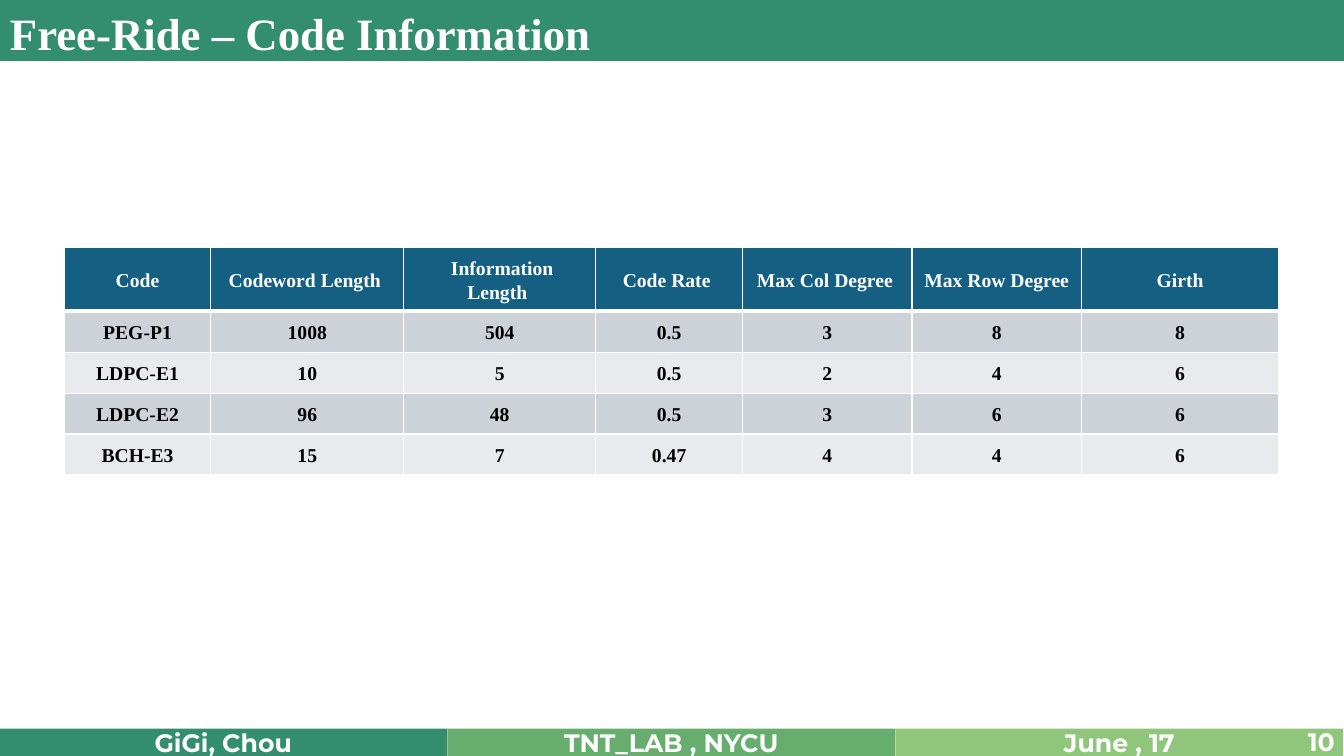
from lxml.etree import SubElement
from pptx import Presentation
from pptx.dml.color import RGBColor
from pptx.enum.shapes import MSO_SHAPE as Preset
from pptx.enum.text import MSO_ANCHOR as Anchor, PP_ALIGN as Align
from pptx.oxml.ns import qn
from pptx.util import Pt

COLORS = {
    "white": "FFFFFF", "black": "000000",
    "dark_green": "328E6E", "mid_green": "67AE6E", "light_green": "90C67C",
    "header": "156082", "band_dark": "CCD2D8", "band_light": "E8EAED",
}
FOOTER_FONT, BODY_FONT = "Montserrat", "Times New Roman"


def write(frame, text, font_name, size, color="white", align=Align.CENTER):
    frame.word_wrap = True
    frame.vertical_anchor = Anchor.MIDDLE
    paragraph = frame.paragraphs[0]
    paragraph.text = text
    paragraph.alignment = align
    font_format = {"name": font_name, "size": Pt(size), "bold": True}
    font = paragraph.runs[0].font
    for attribute, value in font_format.items():
        setattr(font, attribute, value)
    font.color.rgb = RGBColor.from_string(COLORS[color])
    return paragraph


def add_bar(left, top, width, height, color):
    bar = slide.shapes.add_shape(Preset.RECTANGLE, Pt(left), Pt(top), Pt(width), Pt(height))
    bar.shadow.inherit = False
    bar.fill.solid()
    bar.fill.fore_color.rgb = RGBColor.from_string(COLORS[color])
    bar.line.fill.background()
    return bar


presentation = Presentation()
presentation.slide_width, presentation.slide_height = Pt(960), Pt(540)
slide = presentation.slides.add_slide(presentation.slide_layouts[6])

# Footer and title bar
footer = [
    ("GiGi, Chou", "dark_green"),
    ("TNT_LAB , NYCU", "mid_green"),
    ("June , 17", "light_green"),
]
for index, (text, color) in enumerate(footer):
    bar = add_bar(320 * index - 0.5, 520.5, 320, 19.5, color)
    write(bar.text_frame, text, FOOTER_FONT, 18)
add_bar(0, 0, 960, 43.5, "dark_green")

page_number = slide.shapes.add_textbox(Pt(744.5), Pt(520.5), Pt(216), Pt(17.5))
write(page_number.text_frame, "10", FOOTER_FONT, 18, align=Align.RIGHT)
title = slide.shapes.add_textbox(Pt(0), Pt(0), Pt(838), Pt(46))
write(title.text_frame, "Free-Ride – Code Information", BODY_FONT, 32, align=Align.LEFT)

# Code table
rows = [
    ["Code", "Codeword Length ", " Information Length ", "Code Rate ",
     "Max Col Degree ", "Max Row Degree ", "Girth"],
    ["PEG-P1", "1008", "504", "0.5", "3", "8", "8"],
    ["LDPC-E1", "10", "5", "0.5", "2", "4", "6"],
    ["LDPC-E2", "96", "48", "0.5", "3", "6", "6"],
    ["BCH-E3", "15", "7", "0.47", "4", "4", "6"],
]
column_widths = [104.5, 138, 137, 105, 121, 121, 141]
row_height = 29.25
table = slide.shapes.add_table(
    len(rows), len(column_widths), Pt(46), Pt(176.5),
    Pt(sum(column_widths)), Pt(row_height * len(rows))).table
for column, width in zip(table.columns, column_widths):
    column.width = Pt(width)

for row_index, values in enumerate(rows):
    table.rows[row_index].height = Pt(row_height)
    is_header = row_index == 0
    band = "band_dark" if row_index % 2 else "band_light"
    borders = {
        "a:lnL": 1, "a:lnR": 1,
        "a:lnT": 3 if row_index == 1 else 1,
        "a:lnB": 3 if is_header else 1,
    }
    for column_index, text in enumerate(values):
        cell = table.cell(row_index, column_index)
        paragraph = write(cell.text_frame, text, BODY_FONT, 14, "white" if is_header else "black")
        paragraph.line_spacing = 1.15
        paragraph.space_after = Pt(8 if row_index < 2 else 0)
        cell.vertical_anchor = Anchor.MIDDLE
        properties = cell._tc.get_or_add_tcPr()
        for tag, line_width in borders.items():
            line = SubElement(properties, qn(tag), w=str(Pt(line_width)))
            line_fill = SubElement(line, qn("a:solidFill"))
            SubElement(line_fill, qn("a:srgbClr"), val=COLORS["white"])
        cell.fill.solid()
        cell.fill.fore_color.rgb = RGBColor.from_string(COLORS["header" if is_header else band])

presentation.save("out.pptx")
